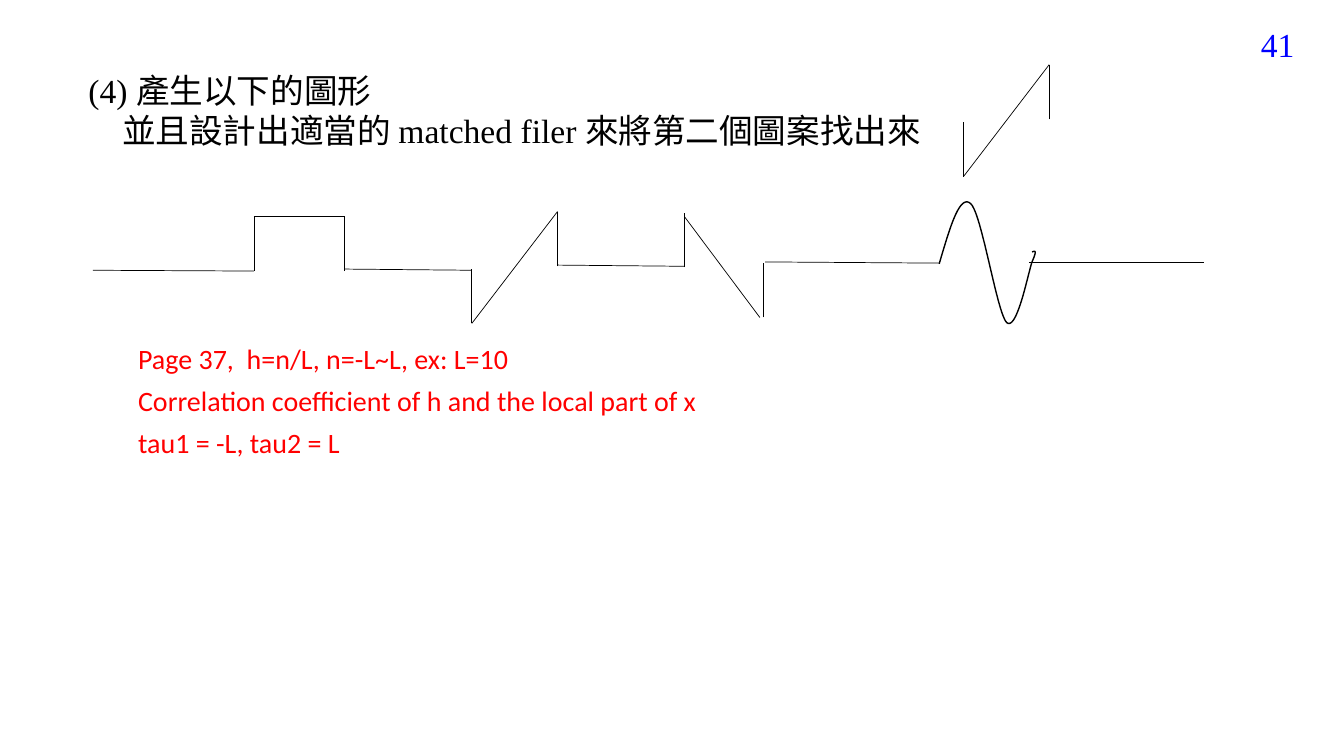
from dataclasses import dataclass

from lxml import etree
from pptx import Presentation
from pptx.dml.color import RGBColor
from pptx.enum.shapes import MSO_CONNECTOR
from pptx.enum.text import MSO_ANCHOR, PP_ALIGN
from pptx.oxml.ns import qn
from pptx.util import Cm, Pt

STRAIGHT = MSO_CONNECTOR.STRAIGHT
TOP, MIDDLE = MSO_ANCHOR.TOP, MSO_ANCHOR.MIDDLE
LEFT, RIGHT = PP_ALIGN.LEFT, PP_ALIGN.RIGHT


@dataclass(frozen=True)
class Theme:
    black: RGBColor = RGBColor(0, 0, 0)
    blue: RGBColor = RGBColor(0, 0, 255)
    red: RGBColor = RGBColor(255, 0, 0)
    serif: str = "Times New Roman"
    sans: str = "Calibri"
    title: Pt = Pt(24)
    note: Pt = Pt(20)
    thin: Pt = Pt(0.5)
    curve: Pt = Pt(1)


theme = Theme()
prs = Presentation()
prs.slide_width, prs.slide_height = Cm(33.87), Cm(19.05)
s = prs.slides.add_slide(prs.slide_layouts[6])


def add_text(box, lines, font, size, color, align=LEFT, anchor=TOP, before=0):
    tf = s.shapes.add_textbox(*map(Cm, box)).text_frame
    tf.word_wrap = True
    tf.vertical_anchor = anchor
    for i, line in enumerate(lines):
        p = tf.add_paragraph() if i else tf.paragraphs[0]
        p.text = line
        p.alignment = align
        p.space_before = Pt(before)
        p.font.name, p.font.size, p.font.color.rgb = font, size, color
    return tf


add_text((30.58, 0.61, 2.29, 1.02), ["41"],
         theme.serif, theme.title, theme.blue, RIGHT, MIDDLE)
task = add_text((1.98, 1.63, 25.35, 2.31),
                ["(4) 產生以下的圖形", "並且設計出適當的 matched filer 來將第二個圖案找出來"],
                theme.serif, theme.title, theme.black)
task.paragraphs[1]._p.get_or_add_pPr().set("marL", str(Cm(0.85)))

# Signal: flat stretches, a square pulse, a rising ramp and a falling ramp
segments = [
    (2.34, 6.81, 6.4, 6.83),
    (6.4, 6.83, 6.4, 5.46),
    (6.4, 5.46, 8.69, 5.46),
    (8.69, 6.83, 8.69, 5.46),
    (8.69, 6.78, 11.89, 6.81),
    (14.05, 6.68, 17.25, 6.71),
    (17.25, 5.46, 19.15, 8),
    (17.25, 6.73, 17.25, 5.36),
    (19.23, 8, 19.23, 6.63),
    (19.28, 6.6, 23.67, 6.63),
    (25.93, 6.6, 30.33, 6.6),
]
# The rising ramp stands in the signal and, alone, as the pattern to find
ramp_w, ramp_h, edge = 2.16, 2.82, 1.38
for x, y in [(11.89, 8.15), (24.28, 4.45)]:
    right, top = x + ramp_w, y - ramp_h
    segments += [
        (x, y, x, y - edge),
        (x, y, right, top),
        (right, top + edge, right, top),
    ]
for segment in segments:
    c = s.shapes.add_connector(STRAIGHT, *map(Cm, segment))
    c.line.color.rgb, c.line.width = theme.black, theme.thin
    etree.SubElement(c._element.spPr, qn("a:effectLst"))

# Sine-like pulse, sampled from cubic Bézier arcs
start = (23.67, 6.65)
arcs = [
    ((23.93, 5.77), (24.18, 4.88), (24.46, 5.13)),
    ((24.74, 5.36), (25.12, 7.87), (25.37, 8.13)),
    ((25.63, 8.36), (25.91, 6.88), (26.01, 6.6)),
    ((26.14, 6.3), (26.09, 6.32), (26.01, 6.35)),
]
steps = 20
points = []
p0 = start
for p1, p2, p3 in arcs:
    for i in range(1, steps + 1):
        t = i / steps
        u = 1 - t
        points.append([Cm(u**3 * a + 3 * u * u * t * b + 3 * u * t * t * c + t**3 * d)
                       for a, b, c, d in zip(p0, p1, p2, p3)])
    p0 = p3
builder = s.shapes.build_freeform(*map(Cm, start))
builder.add_line_segments(points, close=False)
sp = builder.convert_to_shape()
sp.shadow.inherit = False
sp.fill.background()
sp.line.color.rgb, sp.line.width = theme.black, theme.curve

add_text((3.23, 8.48, 21.39, 3.25),
         ["Page 37,  h=n/L, n=-L~L, ex: L=10",
          "Correlation coefficient of h and the local part of x",
          "tau1 = -L, tau2 = L"],
         theme.sans, theme.note, theme.red, before=6)

prs.save("out.pptx")
